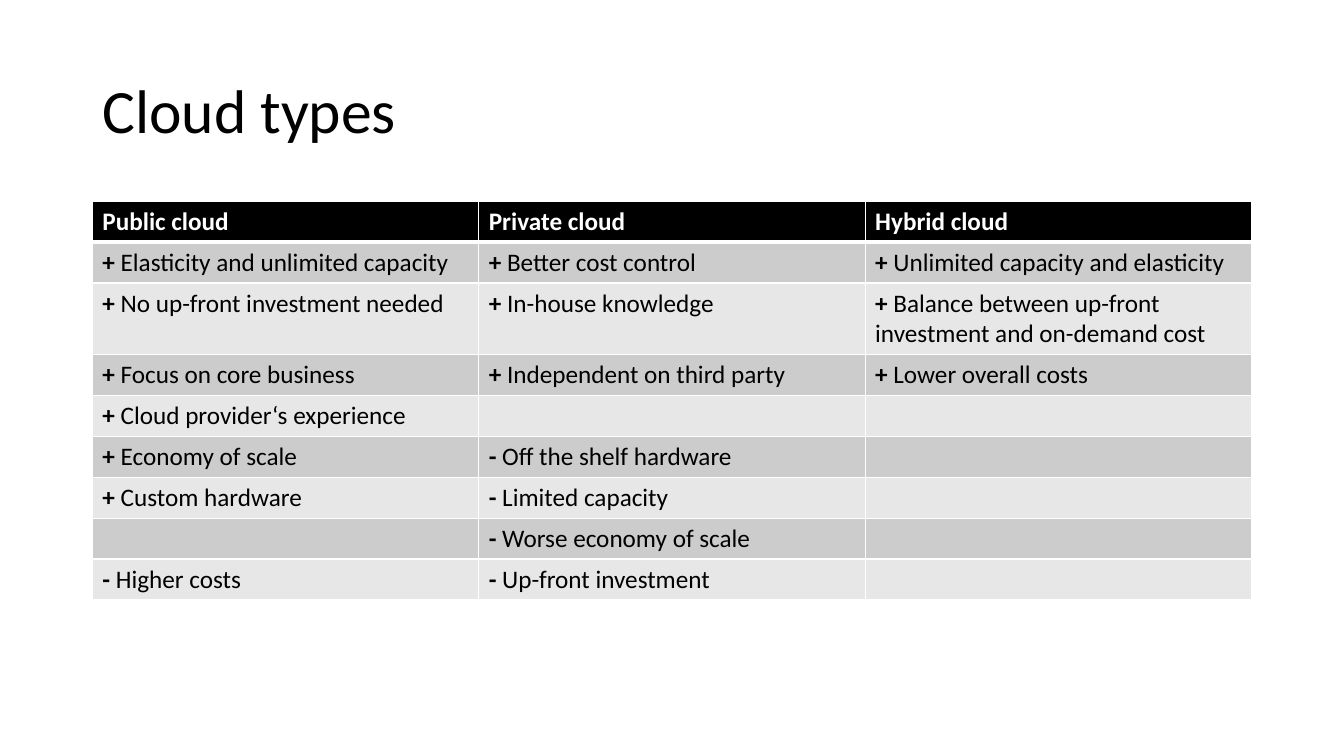
from lxml import etree
from pptx import Presentation
from pptx import util as u
from pptx.dml.color import RGBColor
from pptx.enum import text
from pptx.oxml import ns

BLACK = RGBColor(0x00, 0x00, 0x00)
WHITE = RGBColor(0xFF, 0xFF, 0xFF)
DARK_BAND = RGBColor(0xCC, 0xCC, 0xCC)
LIGHT_BAND = RGBColor(0xE7, 0xE7, 0xE7)
FONT = "Calibri"

CLOUD_TYPES = ["Public cloud", "Private cloud", "Hybrid cloud"]
TRAITS = [
    ["+ Elasticity and unlimited capacity", "+ Better cost control",
     "+ Unlimited capacity and elasticity"],
    ["+ No up-front investment needed", "+ In-house knowledge",
     "+ Balance between up-front investment and on-demand cost"],
    ["+ Focus on core business", "+ Independent on third party", "+ Lower overall costs"],
    ["+ Cloud provider‘s experience", "", ""],
    ["+ Economy of scale", "- Off the shelf hardware", ""],
    ["+ Custom hardware", "- Limited capacity", ""],
    ["", "- Worse economy of scale", ""],
    ["- Higher costs", "- Up-front investment", ""],
]


def style_font(font, size, color, bold=False):
    """Apply the slide's typeface with the given size, colour and weight."""
    font.name = FONT
    font.size = u.Pt(size)
    font.color.rgb = color
    font.bold = bold


def add_borders(cell, bottom_width):
    """Draw white borders, with a chosen width for the bottom one."""
    properties = cell._tc.get_or_add_tcPr()
    for side, width in (("L", 1), ("R", 1), ("T", 1), ("B", bottom_width)):
        border = etree.SubElement(properties, ns.qn(f"a:ln{side}"), w=str(u.Pt(width)))
        paint = etree.SubElement(border, ns.qn("a:solidFill"))
        etree.SubElement(paint, ns.qn("a:srgbClr"), val=str(WHITE))


def fill_cell(cell, fill, bottom_width=1):
    """Give a cell its borders and background."""
    add_borders(cell, bottom_width)
    cell.fill.solid()
    cell.fill.fore_color.rgb = fill


def place_title(slide, left, top, width, height):
    """Place the heading in the given box."""
    heading = slide.shapes.title
    heading.left, heading.top = u.Pt(left), u.Pt(top)
    heading.width, heading.height = u.Pt(width), u.Pt(height)
    frame = heading.text_frame
    frame.text = "Cloud types"
    frame.auto_size = text.MSO_AUTO_SIZE.NONE
    frame.vertical_anchor = text.MSO_ANCHOR.MIDDLE
    line = frame.paragraphs[0]
    line.alignment = text.PP_ALIGN.LEFT
    line.line_spacing = 0.9
    style_font(line.runs[0].font, 44, BLACK)


def place_comparison(slide, left, top, width, row_height):
    """Place the table of cloud types with their pros and cons."""
    row_count = len(TRAITS) + 1
    comparison = slide.shapes.add_table(
        row_count, len(CLOUD_TYPES), u.Pt(left), u.Pt(top),
        u.Pt(width), u.Pt(row_height * row_count)).table
    for row in comparison.rows:
        row.height = u.Pt(row_height)

    for column, cloud_type in enumerate(CLOUD_TYPES):
        cell = comparison.cell(0, column)
        fill_cell(cell, BLACK, bottom_width=3)
        cell.text_frame.text = cloud_type
        style_font(cell.text_frame.paragraphs[0].runs[0].font, 18, WHITE, bold=True)

    for row, traits in enumerate(TRAITS, start=1):
        for column, trait in enumerate(traits):
            cell = comparison.cell(row, column)
            fill_cell(cell, DARK_BAND if row % 2 else LIGHT_BAND)
            if not trait:
                continue
            line = cell.text_frame.paragraphs[0]
            for part, bold in ((trait[:1], True), (trait[1:], False)):
                run = line.add_run()
                run.text = part
                style_font(run.font, 18, BLACK, bold)


def build_cloud_types(presentation):
    """Add the slide comparing cloud types."""
    slide = presentation.slides.add_slide(presentation.slide_layouts[5])
    place_title(slide, 66, 28.75, 828, 104.4)
    place_comparison(slide, 66, 143.75, 828, 29.2)


def main():
    """Build and save the presentation."""
    presentation = Presentation()
    presentation.slide_width, presentation.slide_height = u.Pt(960), u.Pt(540)
    build_cloud_types(presentation)
    presentation.save("out.pptx")


if __name__ == "__main__":
    main()
